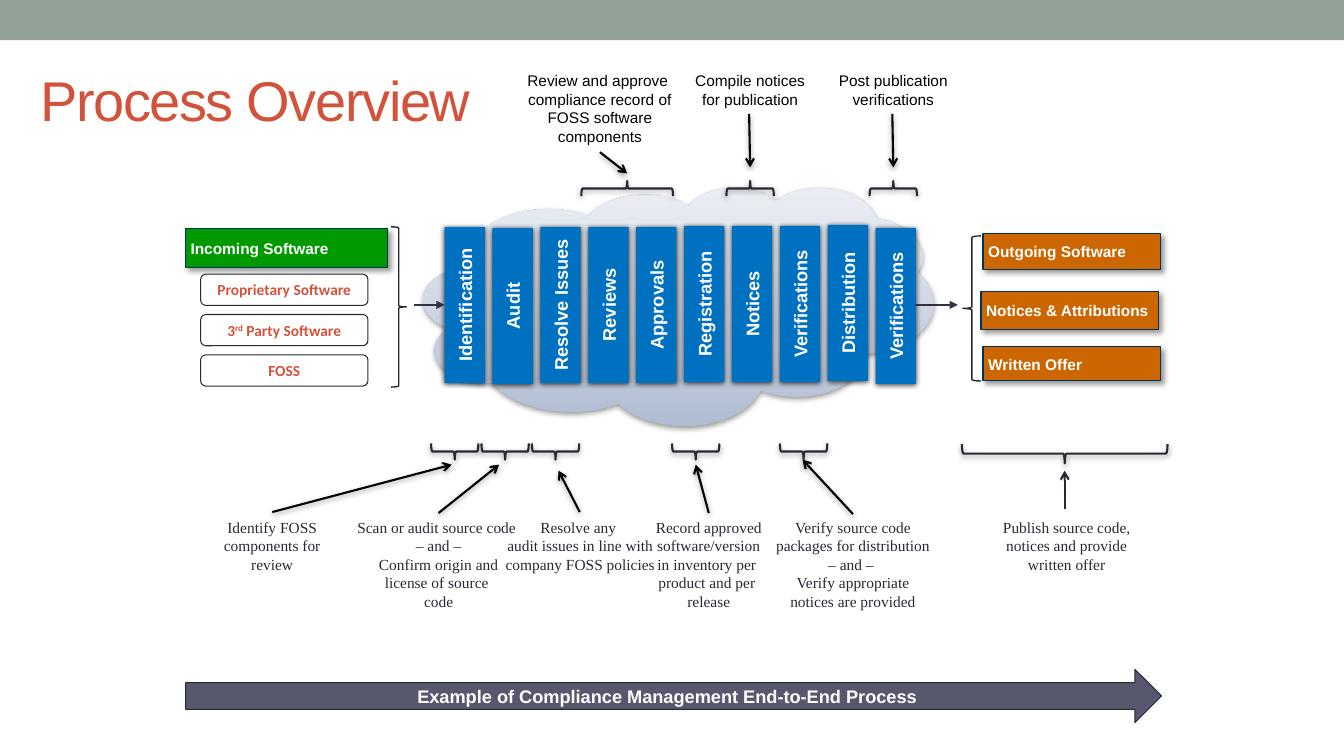
import pptx
import pptx.dml.color
import pptx.enum.shapes
import pptx.enum.text
import pptx.oxml.ns
import pptx.util
from lxml import etree

Inches = pptx.util.Inches
Pt = pptx.util.Pt
SHAPES = pptx.enum.shapes.MSO_SHAPE
ALIGN = pptx.enum.text.PP_ALIGN
ANCHOR = pptx.enum.text.MSO_ANCHOR
qn = pptx.oxml.ns.qn

INK, RUST, WHITE, NAVY = "292934", "D2533C", "FFFFFF", "003359"
# Shadows: opacity %, blur pt, distance pt, direction in degrees
SOFT, STRONG, SLANTED = (38, 4, 1.6, 90), (75, 4, 1, 90), (40, 4, 3, 45)


def color(value):
    """Turn a hex string into a colour."""
    return pptx.dml.color.RGBColor.from_string(value)


def set_shadow(shape, shadow=None):
    """Replace the theme shadow by the given one, or by none."""
    effects = etree.SubElement(shape._element.spPr, qn("a:effectLst"))
    if shadow:
        opacity, blur, distance, angle = shadow
        outer = etree.SubElement(effects, qn("a:outerShdw"), blurRad=str(Pt(blur)),
                                 dist=str(Pt(distance)), dir=str(angle * 60000),
                                 algn="ctr", rotWithShape="0")
        tint = etree.SubElement(outer, qn("a:srgbClr"), val="000000")
        etree.SubElement(tint, qn("a:alpha"), val=str(opacity * 1000))


def write(shape, text, size=11, font="Arial", fill=INK, bold=False, align=ALIGN.CENTER,
          anchor=ANCHOR.MIDDLE, wrap=True, inset=0.1, spacing=None, raised=None):
    """Write text into a shape, one paragraph a line; raised names a superscript part."""
    frame = shape.text_frame
    frame.word_wrap, frame.vertical_anchor = wrap, anchor
    frame.margin_left = frame.margin_right = Inches(inset)
    frame.margin_top = frame.margin_bottom = Inches(0.05)
    for index, line in enumerate(text.split("\n")):
        para = frame.add_paragraph() if index else frame.paragraphs[0]
        para.alignment = align
        before, mark, after = line.partition(raised) if raised else (line, "", "")
        for part in filter(None, (before, mark, after)):
            span = para.add_run()
            span.text = part
            span.font.size, span.font.name = Pt(size), font
            span.font.bold, span.font.color.rgb = bold, color(fill)
            if part == mark:
                span.font._element.set("baseline", "30000")
            if spacing:
                span.font._element.set("spc", str(spacing * 100))


def add_box(page, kind, box, fill=None, line=None, width=0.75, shadow=None):
    """Add a preset shape in a box of left, top, width, height."""
    shape = page.shapes.add_shape(kind, *map(Inches, box))
    if fill:
        shape.fill.solid()
        shape.fill.fore_color.rgb = color(fill)
    else:
        shape.fill.background()
    if line:
        shape.line.color.rgb, shape.line.width = color(line), Pt(width)
    else:
        shape.line.fill.background()
    set_shadow(shape, shadow)
    return shape


def add_note(page, box, text, **style):
    """Add a plain text box."""
    left, top, width, height = box
    note = page.shapes.add_textbox(*map(Inches, box))
    write(note, text, anchor=ANCHOR.TOP, **style)


def add_arrow(page, start, end, line="000000", head="arrow", shadow=SOFT):
    """Add a straight arrow between two points."""
    arrow = page.shapes.add_connector(pptx.enum.shapes.MSO_CONNECTOR.STRAIGHT,
                                      *map(Inches, (*start, *end)))
    arrow.line.color.rgb, arrow.line.width = color(line), Pt(1.5)
    etree.SubElement(arrow.line._get_or_add_ln(), qn("a:tailEnd"), type=head)
    set_shadow(arrow, shadow)


def add_flat_brace(page, kind, center, span, depth):
    """Add a brace lying on its side, a quarter turn from its preset."""
    x, y = center
    brace = add_box(page, kind, (x - depth / 2, y - span / 2, depth, span),
                    line=INK, width=1.5, shadow=SOFT)
    brace.rotation = 90


def add_heading(page, box):
    """Add the top band and the title below it."""
    left, top, width, height = box
    add_box(page, SHAPES.RECTANGLE, (left, top, width, 0.4), fill="93A299")
    add_note(page, (left + 0.3, top + 0.6, 12, height - 0.6), "Process Overview",
             size=40, fill=RUST, align=ALIGN.LEFT, spacing=-1)


def add_label(page, box, text, fill):
    """Add a coloured label with bold white text."""
    label = add_box(page, SHAPES.RECTANGLE, box, fill, NAVY, shadow=SLANTED)
    write(label, text, fill=WHITE, bold=True, align=ALIGN.LEFT, inset=0.05)


def add_incoming(page, box):
    """Add the incoming software, its kinds and the brace beside them."""
    left, top, width, height = box
    add_label(page, (left, top + 0.02, 2, 0.38), "Incoming Software", "009900")
    for row, text in enumerate(("Proprietary Software", "3rd Party Software", "FOSS")):
        card = add_box(page, SHAPES.ROUNDED_RECTANGLE,
                       (left + 0.15, top + 0.47 + row * 0.4, 1.66, 0.31), line=INK)
        write(card, text, font="Calibri", fill=RUST, bold=True, raised="rd")
    add_box(page, SHAPES.RIGHT_BRACE, (left + width - 0.15, top, 0.15, height),
            line=INK, width=1)


def add_outgoing(page, box):
    """Add the brace and the three outgoing items."""
    left, top, width, height = box
    add_box(page, SHAPES.LEFT_BRACE, (left, top, 0.18, height), line=INK, width=1)
    items = (("Outgoing Software", 0.2, -0.02, 0.35),
             ("Notices & Attributions", 0.18, 0.55, 0.38),
             ("Written Offer", 0.2, 1.1, 0.34))
    for text, x, y, tall in items:
        add_label(page, (left + x, top + y, 1.76, tall), text, "CC6600")


def add_steps(page, box):
    """Add the cloud, the step bars and the arrows in and out."""
    left, top, width, height = box
    cloud = add_box(page, SHAPES.CLOUD, box, shadow=SOFT)
    cloud.fill.gradient()
    cloud.fill.gradient_angle = 90
    stops = cloud._element.spPr.find(".//" + qn("a:gsLst"))
    stops[:] = []
    for place, tint in ((0, "B0BCD2"), (35, "C8D0DF"), (100, "EAEDF3")):
        stop = etree.SubElement(stops, qn("a:gs"), pos=str(place * 1000))
        etree.SubElement(stop, qn("a:srgbClr"), val=tint)
    steps = ("Identification", "Audit", "Resolve Issues", "Reviews", "Approvals",
             "Registration", "Notices", "Verifications", "Distribution", "Verifications")
    tops = (0.39, 0.4, 0.39, 0.39, 0.39, 0.38, 0.38, 0.38, 0.37, 0.4)
    for index, (step, drop) in enumerate(zip(steps, tops)):
        bar = add_box(page, SHAPES.RECTANGLE,
                      (left + 0.21 + index * 0.475, top + drop, 0.4, 1.55),
                      fill="0070C0", shadow=STRONG)
        write(bar, step, size=13, fill=WHITE, bold=True, inset=0.05)
        bar.text_frame._txBody.bodyPr.set("vert", "vert270")
    middle = top + 1.165
    for start, end in ((-0.09, 0.21), (4.88, 5.3)):
        add_arrow(page, (left + start, middle), (left + end, middle),
                  "323240", "triangle", None)


def add_upper_notes(page, box):
    """Add the notes above the steps, each with an arrow to its brace."""
    left, top, width, height = box
    notes = (
        ("Review and approve \ncompliance record of FOSS software components",
         0, 0.84, (0.86, 0.85), (1.13, 1.06), 0.91),
        ("Compile notices\nfor publication", 1.49, 0.49, (2.34, 0.47), (2.35, 1), 0.47),
        ("Post publication\nverifications", 2.91, 0.49, (3.76, 0.47), (3.77, 1), 0.47))
    for text, x, tall, start, end, span in notes:
        add_note(page, (left + x, top, 1.72, tall), text, fill="000000")
        add_arrow(page, *((left + px, top + py) for px, py in (start, end)))
        add_flat_brace(page, SHAPES.LEFT_BRACE, (left + end[0], top + height - 0.08),
                       span, 0.15)


def add_lower_notes(page, box):
    """Add the notes below the steps, each with an arrow to its brace."""
    left, top, width, height = box
    # Text, note offset, width, height, wrap, arrow start, arrow end, brace centre
    notes = (
        ("Identify FOSS components for review", 0, 1.2, 0.66, True,
         (0.6, 0.68), (2.38, 0.21), 2.41),
        ("Scan or audit source code \n– and –\nConfirm origin and\n"
         "license of source \ncode", 1.34, 1.82, 1.03, False,
         (2.25, 0.69), (2.85, 0.21), 2.91),
        ("Resolve any \naudit issues in line with\ncompany FOSS policies",
         2.81, 1.69, 0.66, False, (3.65, 0.68), (3.44, 0.27), 3.41),
        ("Record approved\nsoftware/version\nin inventory per \nproduct and per \nrelease",
         4.3, 1.26, 1.21, False, (4.93, 0.69), (4.8, 0.21), 4.8),
        ("Verify source code packages for distribution\n– and – \n"
         "Verify appropriate notices are provided", 5.48, 1.76, 1.21, True,
         (6.36, 0.7), (5.86, 0.16), 5.87),
        ("Publish source code,\nnotices and provide written offer",
         7.6, 1.76, 0.66, True, (8.46, 0.65), (8.46, 0.27), 8.46))
    for text, x, wide, tall, wrap, start, end, center in notes:
        last = x == 7.6
        add_note(page, (left + x, top + 0.69, wide, tall), text,
                 font="Times New Roman", wrap=wrap)
        add_arrow(page, *((left + px, top + py) for px, py in (start, end)),
                  line=INK if last else "000000", shadow=None if last else SOFT)
        add_flat_brace(page, SHAPES.RIGHT_BRACE, (left + center, top + (0.1 if last else 0.08)),
                       2.04 if last else 0.47, 0.19 if last else 0.16)


def add_footer_arrow(page, box):
    """Add the wide arrow that names the whole process."""
    arrow = add_box(page, SHAPES.RIGHT_ARROW, box, "57576E", INK)
    write(arrow, "Example of Compliance Management End-to-End Process",
          size=13, fill=WHITE, bold=True)


deck = pptx.Presentation()
deck.slide_width, deck.slide_height = Inches(13.33), Inches(7.5)
page = deck.slides.add_slide(deck.slide_layouts[6])
add_heading(page, (0, 0, 13.33, 1.6))
add_steps(page, (4.2, 1.86, 5.06, 2.36))
add_incoming(page, (1.84, 2.25, 2.19, 1.59))
add_outgoing(page, (9.55, 2.34, 1.96, 1.44))
add_upper_notes(page, (5.09, 0.66, 4.63, 1.29))
add_lower_notes(page, (2.1, 4.4, 9.48, 1.91))
add_footer_arrow(page, (1.84, 6.64, 9.68, 0.53))
deck.save("out.pptx")
